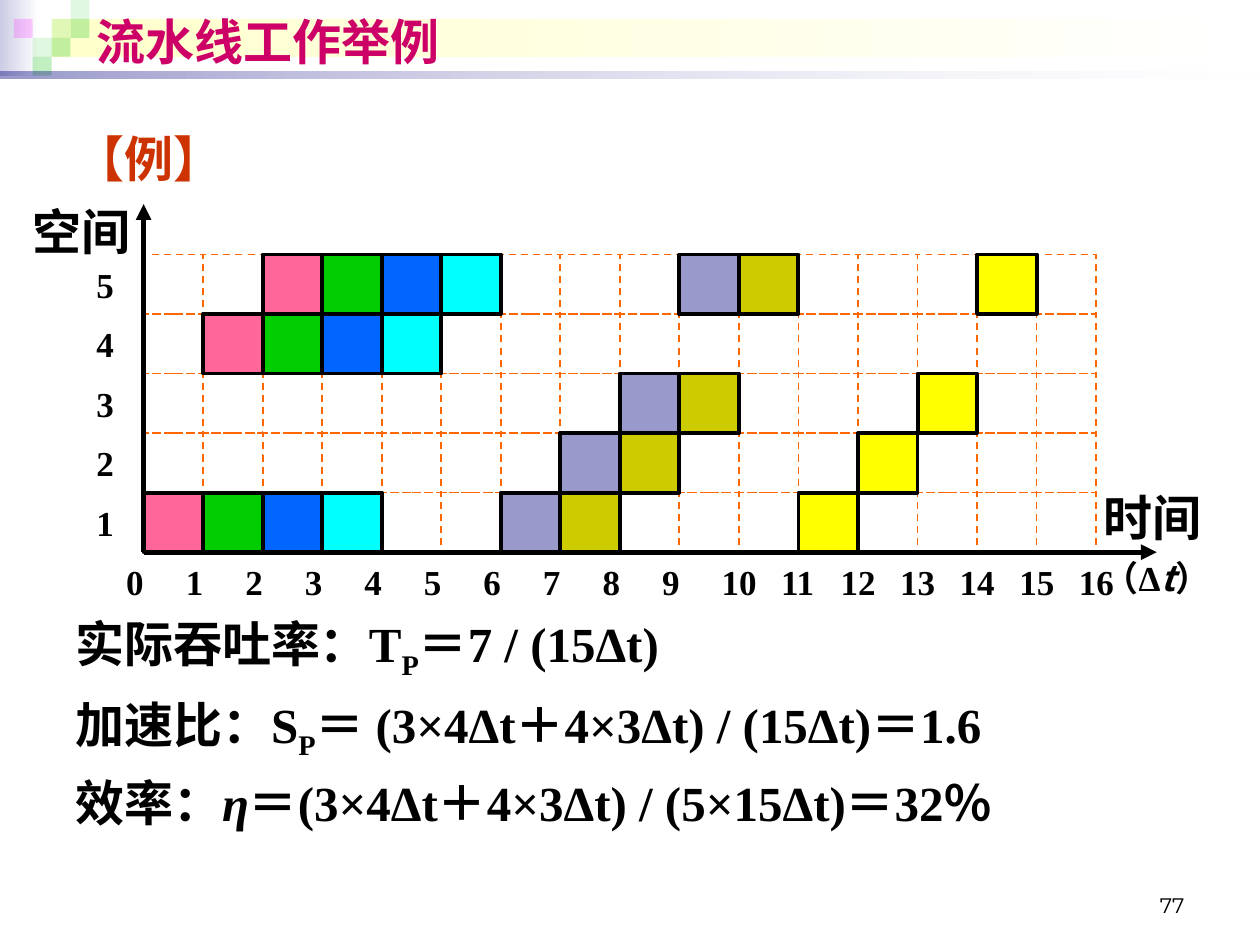
"""Build the slide with a pipeline space-time chart and its three results."""
import lxml.etree
import pptx
import pptx.dml.color
import pptx.enum.dml
import pptx.enum.shapes
import pptx.enum.text
import pptx.oxml.ns
import pptx.util

Inches = pptx.util.Inches
Pt = pptx.util.Pt
RGBColor = pptx.dml.color.RGBColor
SHAPE = pptx.enum.shapes.MSO_SHAPE
ANCHOR = pptx.enum.text.MSO_ANCHOR
ALIGN = pptx.enum.text.PP_ALIGN
qn = pptx.oxml.ns.qn

BLACK = RGBColor(0x00, 0x00, 0x00)
WHITE = RGBColor(0xFF, 0xFF, 0xFF)
LILAC = RGBColor(0xCC, 0xCC, 0xE6)
CREAM = RGBColor(0xFF, 0xFF, 0xCC)
NAVY = RGBColor(0x00, 0x00, 0x7D)
LEAF = RGBColor(0x33, 0xCC, 0x33)
PURPLE = RGBColor(0xFF, 0x00, 0xFF)
ORANGE = RGBColor(0xFF, 0x66, 0x00)
RUST = RGBColor(0xCC, 0x33, 0x00)
CRIMSON = RGBColor(0xCC, 0x00, 0x66)
PINK = RGBColor(0xFF, 0x66, 0x99)
GREEN = RGBColor(0x00, 0xCC, 0x00)
BLUE = RGBColor(0x00, 0x66, 0xFF)
CYAN = RGBColor(0x00, 0xFF, 0xFF)
MAUVE = RGBColor(0x99, 0x99, 0xCC)
OLIVE = RGBColor(0xCC, 0xCC, 0x00)
YELLOW = RGBColor(0xFF, 0xFF, 0x00)

deck = pptx.Presentation()
deck.slide_width, deck.slide_height = Inches(10), Inches(7.5)
slide = deck.slides.add_slide(deck.slide_layouts[6])


def rect(left, top, width, height, fills=(), alphas=()):
    """Draw a plain rectangle with no fill, one colour or a gradient."""
    shape = slide.shapes.add_shape(
        SHAPE.RECTANGLE, Inches(left), Inches(top), Inches(width), Inches(height))
    shape.shadow.inherit = False
    shape.line.fill.background()
    if len(fills) == 2:
        shape.fill.gradient()
        shape.fill.gradient_angle = 0
        for stop, color in zip(shape.fill.gradient_stops, fills):
            stop.color.rgb = color
    elif fills:
        shape.fill.solid()
        shape.fill.fore_color.rgb = fills[0]
    else:
        shape.fill.background()
    for node, alpha in zip(shape._element.spPr.iter(qn("a:srgbClr")), alphas):
        lxml.etree.SubElement(node, qn("a:alpha")).set("val", str(alpha * 1000))
    return shape


def write(left, top, width, height, lines, anchor=ANCHOR.TOP, color=BLACK, **base):
    """Write lines made of (text, format) runs and return the text frame."""
    box = slide.shapes.add_textbox(
        Inches(left), Inches(top), Inches(width), Inches(height))
    frame = box.text_frame
    frame.word_wrap, frame.vertical_anchor = True, anchor
    for i, line in enumerate(lines):
        para = frame.add_paragraph() if i else frame.paragraphs[0]
        for text, extra in line:
            run = para.add_run()
            run.text = text
            run.font.color.rgb = color
            look = {"name": "Times New Roman", "size": Pt(28), "bold": True}
            for key, value in {**look, **base, **extra}.items():
                setattr(run.font, key, value)
    return frame


# Header
rect(0, 0, 0.31, 0.6, [LILAC, WHITE])
rect(0.41, 0.15, 9.55, 0.3, [CREAM, WHITE])
TILES = [(2, 1, LEAF, 15), (3, 0, LEAF, 15), (3, 1, LEAF, 30), (1, 2, LEAF, 15),
         (0, 1, PURPLE, 20), (2, 2, LEAF, 30), (1, 3, LEAF, 30)]
for col, row, color, alpha in TILES:
    rect(0.11 + col * 0.15, row * 0.15, 0.15, 0.15, [color], [alpha])
rect(0, 0.57, 10, 0.05, [NAVY, WHITE], [40, 10])
write(0.67, 0.05, 8.82, 0.55, [[("流水线工作举例", {})]], ANCHOR.MIDDLE, CRIMSON,
      name="Arial")
page = write(7.17, 6.83, 2.33, 0.5, [[("77", {})]], ANCHOR.BOTTOM,
             name="Montserrat", size=Pt(12), bold=False)
page.paragraphs[0].alignment = ALIGN.RIGHT

body = write(0.5, 0.88, 9, 5.86, [
    [("【例】", {})],
    [("实际吞吐率：T", {}), ("P", {}), ("＝7 / (15Δt)", {})],
    [("加速比：S", {}), ("P", {}), ("＝ (3×4Δt＋4×3Δt) / (15Δt)＝1.6", {})],
    [("效率：", {}), ("η", {"italic": True}),
     ("＝(3×4Δt＋4×3Δt) / (5×15Δt)＝32％", {})]])
for para in body.paragraphs:
    para.line_spacing = 1.2
    for run in para.runs:
        if run.text == "P":
            run._r.get_or_add_rPr().set("baseline", "-25000")
body.paragraphs[0].runs[0].font.color.rgb = RUST
body.paragraphs[1].space_before = Pt(236)

LEFT, TOP, COLS, ROWS = 1.14, 2.02, 16, 5
CELL = 7.56 / COLS
BASE = TOP + ROWS * CELL
TASKS = [(PINK, {1: 0, 4: 1, 5: 2}), (GREEN, {1: 1, 4: 2, 5: 3}),
         (BLUE, {1: 2, 4: 3, 5: 4}), (CYAN, {1: 3, 4: 4, 5: 5}),
         (MAUVE, {1: 6, 2: 7, 3: 8, 5: 9}), (OLIVE, {1: 7, 2: 8, 3: 9, 5: 10}),
         (YELLOW, {1: 11, 2: 12, 3: 13, 5: 14})]
busy = {(stage, col): color for color, plan in TASKS for stage, col in plan.items()}
free = [(stage, col) for stage in range(1, ROWS + 1) for col in range(COLS)
        if (stage, col) not in busy]
for stage, col in free + list(busy):
    color = busy.get((stage, col))
    cell = rect(LEFT + col * CELL, BASE - stage * CELL, CELL, CELL,
                [color] if color else [])
    cell.line.color.rgb = BLACK if color else ORANGE
    cell.line.width = Pt(2.25 if color else 1)
    if not color:
        cell.line.dash_style = pptx.enum.dml.MSO_LINE.DASH

marks = [(LEFT + (n - 0.5) * CELL, BASE, n) for n in range(COLS + 1)]
marks += [(LEFT - CELL, BASE - n * CELL, n) for n in range(1, ROWS + 1)]
for left, top, n in marks:
    mark = write(left, top, CELL, CELL, [[(str(n), {})]], ANCHOR.MIDDLE, size=Pt(20))
    mark.margin_right = 0

for right, top in [(9.18, BASE), (LEFT, 1.62)]:
    axis = slide.shapes.add_connector(
        pptx.enum.shapes.MSO_CONNECTOR.STRAIGHT,
        Inches(LEFT), Inches(BASE), Inches(right), Inches(top))
    axis.line.color.rgb, axis.line.width = BLACK, Pt(3)
    lxml.etree.SubElement(axis.line._get_or_add_ln(), qn("a:tailEnd")).set(
        "type", "triangle")
    lxml.etree.SubElement(axis._element.spPr, qn("a:effectLst"))

small = {"size": Pt(20)}
time = write(8.66, 3.82, 1.22, 1, [
    [("时间", {})],
    [("（Δ", small), ("t", {**small, "name": "Noto Sans CJK SC", "italic": True}),
     ("）", small)]])
time.paragraphs[1].space_before = Pt(6)
write(0.16, 1.55, 1.02, 0.5, [[("空间", {})]])

deck.save("out.pptx")
